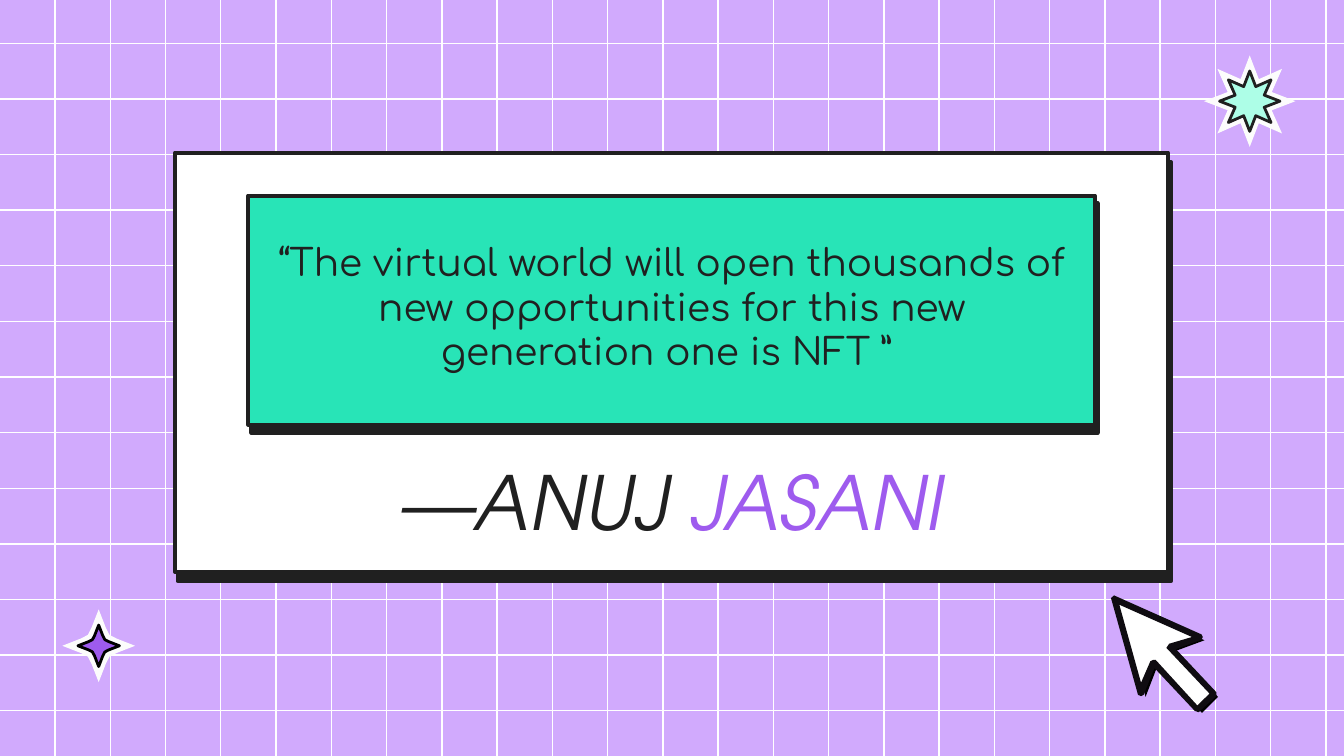
from math import cos, pi, sin

from lxml.etree import SubElement
from pptx import Presentation
from pptx.dml.color import RGBColor
from pptx.enum.shapes import MSO_CONNECTOR, MSO_SHAPE
from pptx.enum.text import MSO_ANCHOR, PP_ALIGN
from pptx.oxml.ns import qn
from pptx.util import Pt

WIDTH, HEIGHT = 720, 405
LILAC = RGBColor(0xD1, 0xAA, 0xFD)
WHITE = RGBColor(0xFF, 0xFF, 0xFF)
OFF_WHITE = RGBColor(0xFC, 0xFC, 0xFC)
BLACK = RGBColor(0x00, 0x00, 0x00)
CHARCOAL = RGBColor(0x20, 0x20, 0x20)
CURSOR_EDGE = RGBColor(0x0F, 0x0C, 0x11)
GREEN = RGBColor(0x28, 0xE4, 0xB7)
MINT = RGBColor(0xAD, 0xFE, 0xE7)
PURPLE = RGBColor(0x9E, 0x5B, 0xEE)

BURST_TIP = [(0, -24.5), (4.9, -11.8)]
SPARKLE_TIP = [(0, -19.5), (3.8, -9.7), (5.8, -5.8), (9.7, -3.8)]

CURSOR_BODY = [(2.2, 1.4), (16.6, 52.6), (23, 36), (46.8, 61.2), (55.4, 52.6),
               (32.4, 28.1), (48.2, 22.3)]
CURSOR_OUTSIDE = [(2.2, 0), (0.5, 1.4), (15, 53.3), (16.6, 54), (18, 53.3),
                  (23.8, 38.9), (45.4, 61.9), (47.5, 62.6), (56.9, 54),
                  (56.9, 51.8), (35.3, 28.8), (49, 23.8), (49.7, 22.3), (49, 20.9)]
CURSOR_INSIDE = [(5, 5), (43.9, 22.3), (31.7, 25.9), (30.2, 28.1), (53.3, 52.6),
                 (46.8, 59), (24.5, 34.6), (23, 34.6), (21.6, 35.3), (16.6, 46.8)]


def style_shape(shape, fill, line=None, width=0):
    """Set the fill and outline of a shape and remove its theme shadow."""
    shape.shadow.inherit = False
    shape.fill.solid()
    shape.fill.fore_color.rgb = fill
    if line is None:
        shape.line.fill.background()
    else:
        shape.line.color.rgb = line
        shape.line.width = Pt(width)


def add_hard_shadow(shape, color, distance, angle):
    """Give a styled shape an unblurred offset shadow."""
    effects = shape.element.spPr.find(qn("a:effectLst"))
    shadow = SubElement(effects, qn("a:outerShdw"), blurRad="0", dist=str(Pt(distance)),
                        dir=str(angle * 60000), algn="bl", rotWithShape="0")
    SubElement(shadow, qn("a:srgbClr"), val=str(color))


def add_outline(slide, left, top, *contours):
    """Draw closed contours, given relative to a point, as one freeform."""
    placed = [[(Pt(left + x), Pt(top + y)) for x, y in contour] for contour in contours]
    builder = slide.shapes.build_freeform(*placed[0][0])
    builder.add_line_segments(placed[0][1:], close=True)
    for contour in placed[1:]:
        builder.move_to(*contour[0])
        builder.add_line_segments(contour[1:], close=True)
    return builder.convert_to_shape()


def add_grid(slide, left, top, width, height):
    """Rule a white grid across the box."""
    rows = [(left, top + 23.2 + 29.8 * i, left + width, top + 23.2 + 29.8 * i)
            for i in range(13)]
    columns = [(left + 29.5 + 29.6 * i, top, left + 29.5 + 29.6 * i, top + height)
               for i in range(24)]
    for ends in rows + columns:
        rule = slide.shapes.add_connector(MSO_CONNECTOR.STRAIGHT, *map(Pt, ends))
        rule.line.color.rgb = WHITE
        rule.line.width = Pt(0.75)
        SubElement(rule.element.spPr, qn("a:effectLst"))


def add_panel(slide, box, fill, distance, angle):
    """Add an outlined rectangle with a hard shadow."""
    panel = slide.shapes.add_shape(MSO_SHAPE.RECTANGLE, *map(Pt, box))
    style_shape(panel, fill, CHARCOAL, 2.25)
    add_hard_shadow(panel, CHARCOAL, distance, angle)


def add_text(slide, box, runs, font_name, size, italic=None):
    """Add a centred text box from pairs of text and colour."""
    frame = slide.shapes.add_textbox(*map(Pt, box)).text_frame
    frame.word_wrap = True
    frame.vertical_anchor = MSO_ANCHOR.TOP
    frame.margin_left = frame.margin_right = Pt(7.2)
    frame.margin_top = frame.margin_bottom = Pt(7.2)
    paragraph = frame.paragraphs[0]
    paragraph.alignment = PP_ALIGN.CENTER
    for text, color in runs:
        run = paragraph.add_run()
        run.text = text
        run.font.name = font_name
        run.font.size = Pt(size)
        run.font.italic = italic
        run.font.color.rgb = color


def add_quote_card(slide, left, top, width, height):
    """Place the card, the framed quote and its author in the box."""
    add_panel(slide, (left, top, width, height), WHITE, 5.2, 74)
    add_panel(slide, (left + 39.3, top + 23, width - 78.5, 122.7), GREEN, 4.5, 70)
    quote = "“The virtual world will open thousands of new opportunities for this new generation one is NFT ” "
    add_text(slide, (left + 46.7, top + 39, width - 93, 92.9),
             [(quote, CHARCOAL)], "Comfortaa", 20)
    add_text(slide, (left + 27.5, top + 155.5, width - 54.7, 52.6),
             [("—ANUJ ", CHARCOAL), ("JASANI", PURPLE)],
             "TeX Gyre Adventor", 40, italic=True)


def add_cursor(slide, left, top):
    """Draw the pointer with its shadow and dark rim."""
    body = add_outline(slide, left, top, CURSOR_BODY)
    style_shape(body, WHITE)
    add_hard_shadow(body, BLACK, 3, 36)
    rim = add_outline(slide, left, top, CURSOR_OUTSIDE, CURSOR_INSIDE)
    style_shape(rim, CURSOR_EDGE)


def add_star(slide, center_x, center_y, tip, tips, core_scale, fill, line):
    """Draw a star by turning one tip, with a smaller outlined star inside."""
    turns = [2 * pi * i / tips for i in range(tips)]
    points = [(x * cos(turn) - y * sin(turn), x * sin(turn) + y * cos(turn))
              for turn in turns for x, y in tip]
    style_shape(add_outline(slide, center_x, center_y, points), OFF_WHITE)
    core = [(x * core_scale, y * core_scale) for x, y in points]
    style_shape(add_outline(slide, center_x, center_y, core), fill, line, 1.5)


def main():
    """Build the quote slide and save it."""
    presentation = Presentation()
    presentation.slide_width = Pt(WIDTH)
    presentation.slide_height = Pt(HEIGHT)
    slide = presentation.slides.add_slide(presentation.slide_layouts[6])
    slide.background.fill.solid()
    slide.background.fill.fore_color.rgb = LILAC
    add_grid(slide, 0, 0, WIDTH, HEIGHT)
    add_quote_card(slide, 93.8, 81.8, 532, 224.6)
    add_cursor(slide, 594.7, 319)
    add_star(slide, 669.5, 54.2, BURST_TIP, 8, 0.66, MINT, CHARCOAL)
    add_star(slide, 52.9, 346, SPARKLE_TIP, 4, 0.57, PURPLE, BLACK)
    presentation.save("out.pptx")


if __name__ == "__main__":
    main()
